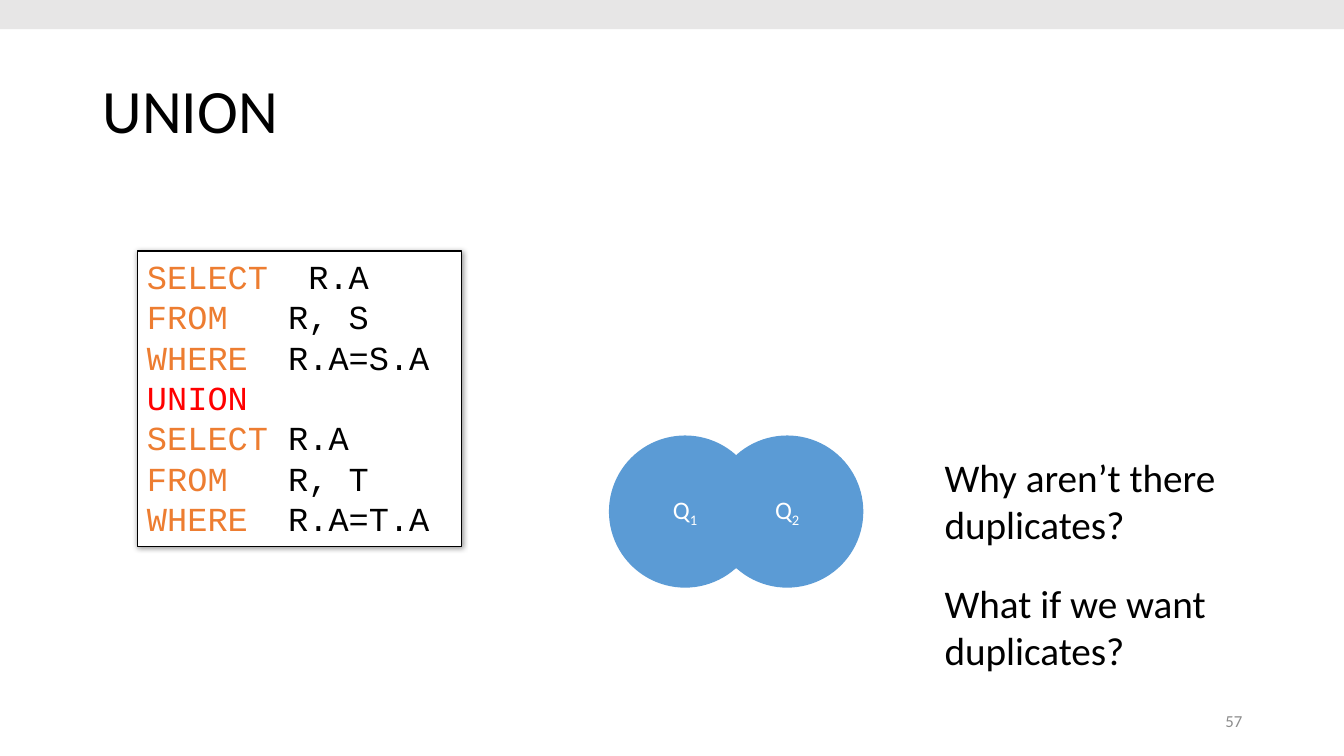
from dataclasses import dataclass
from typing import Optional

import lxml.etree
import pptx
import pptx.dml.color
import pptx.enum.shapes
import pptx.enum.text
import pptx.oxml.ns
import pptx.util

Align = pptx.enum.text.PP_ALIGN
Anchor = pptx.enum.text.MSO_ANCHOR
Preset = pptx.enum.shapes.MSO_SHAPE

WIDTH = pptx.util.Inches(13.33)
HEIGHT = pptx.util.Inches(7.5)
COLORS = {
    "text": "000000",
    "paper": "FFFFFF",
    "band": "E7E6E6",
    "number": "8C8C8C",
    "keyword": "ED7D31",
    "operator": "FF0000",
    "query": "5B9BD5",
}


@dataclass(frozen=True)
class Area:
    """Left, top, width and height in percent of the slide."""
    left: float
    top: float
    width: float
    height: float

    def lengths(self) -> tuple:
        return (
            int(WIDTH * self.left / 100),
            int(HEIGHT * self.top / 100),
            int(WIDTH * self.width / 100),
            int(HEIGHT * self.height / 100),
        )


@dataclass(frozen=True)
class Span:
    text: str
    color: Optional[str] = None
    subscript: bool = False


@dataclass(frozen=True)
class Style:
    size: float
    color: str = "text"
    font: str = "Calibri"
    align: Align = Align.LEFT
    anchor: Anchor = Anchor.TOP
    line_spacing: float = 1.0


@dataclass(frozen=True)
class Label:
    area: Area
    text: str
    style: Style


def rgb(color: str) -> pptx.dml.color.RGBColor:
    return pptx.dml.color.RGBColor.from_string(COLORS[color])


def write(shape, lines: list[list[Span]], style: Style) -> None:
    frame = shape.text_frame
    frame.word_wrap = True
    frame.vertical_anchor = style.anchor
    for index, spans in enumerate(lines):
        paragraph = frame.add_paragraph() if index else frame.paragraphs[0]
        paragraph.alignment = style.align
        paragraph.line_spacing = style.line_spacing
        paragraph.font.name = style.font
        paragraph.font.size = pptx.util.Pt(style.size)
        paragraph.font.color.rgb = rgb(style.color)
        for span in spans:
            run = paragraph.add_run()
            run.text = span.text
            if span.color:
                run.font.color.rgb = rgb(span.color)
            if span.subscript:
                run._r.get_or_add_rPr().set("baseline", "-25000")


def add_label(shapes, label: Label) -> None:
    box = shapes.add_textbox(*label.area.lengths())
    write(box, [[Span(label.text)]], label.style)


def add_filled(shapes, preset: Preset, area: Area, fill: str):
    shape = shapes.add_shape(preset, *area.lengths())
    shape.shadow.inherit = False
    shape.fill.solid()
    shape.fill.fore_color.rgb = rgb(fill)
    shape.line.fill.background()
    return shape


def add_soft_shadow(shape) -> None:
    qn = pptx.oxml.ns.qn
    effects = shape._element.spPr.find(qn("a:effectLst"))
    shadow = lxml.etree.SubElement(
        effects, qn("a:outerShdw"), blurRad=str(pptx.util.Pt(4)),
        dist=str(pptx.util.Pt(1)), dir="2700000", algn="tl", rotWithShape="0")
    color = lxml.etree.SubElement(shadow, qn("a:srgbClr"), val=COLORS["text"])
    lxml.etree.SubElement(color, qn("a:alpha"), val="40000")


QUESTION = Style(28)
LABELS = [
    Label(Area(6.9, 5.33, 86.27, 19.33), "UNION",
          Style(44, anchor=Anchor.MIDDLE, line_spacing=0.9)),
    Label(Area(70.67, 92.67, 22.5, 5.33), "57",
          Style(12, "number", align=Align.RIGHT, anchor=Anchor.MIDDLE)),
    Label(Area(69.54, 59.33, 21.9, 13.87), "Why aren’t there duplicates?", QUESTION),
    Label(Area(69.54, 76, 24.98, 13.87), "What if we want duplicates?", QUESTION),
]
SQL = [
    [Span("SELECT", "keyword"), Span("  R.A")],
    [Span("FROM", "keyword"), Span("   R, S")],
    [Span("WHERE", "keyword"), Span("  R.A=S.A")],
    [Span("UNION", "operator")],
    [Span("SELECT", "keyword"), Span(" R.A")],
    [Span("FROM", "keyword"), Span("   R, T")],
    [Span("WHERE", "keyword"), Span("  R.A=T.A")],
]
SQL_AREA = Area(10.2, 33.2, 24.16, 39.07)
QUERY_STYLE = Style(18, "paper", align=Align.CENTER, anchor=Anchor.MIDDLE)
QUERY_STEP = 7.6
BAND_AREA = Area(0, 0, 100, 3.87)


def main() -> None:
    deck = pptx.Presentation()
    deck.slide_width, deck.slide_height = WIDTH, HEIGHT
    shapes = deck.slides.add_slide(deck.slide_layouts[6]).shapes

    add_filled(shapes, Preset.RECTANGLE, BAND_AREA, "band")
    for label in LABELS:
        add_label(shapes, label)

    sql = add_filled(shapes, Preset.RECTANGLE, SQL_AREA, "paper")
    sql.line.color.rgb = rgb("text")
    sql.line.width = pptx.util.Pt(0.75)
    add_soft_shadow(sql)
    write(sql, SQL, Style(24, font="Courier New"))

    venn = shapes.add_group_shape()
    for index in range(2):
        area = Area(45.31 + index * QUERY_STEP, 57.6, 11.33, 20.13)
        query = add_filled(venn.shapes, Preset.OVAL, area, "query")
        write(query, [[Span("Q"), Span(str(index + 1), subscript=True)]], QUERY_STYLE)

    deck.save("out.pptx")


if __name__ == "__main__":
    main()
